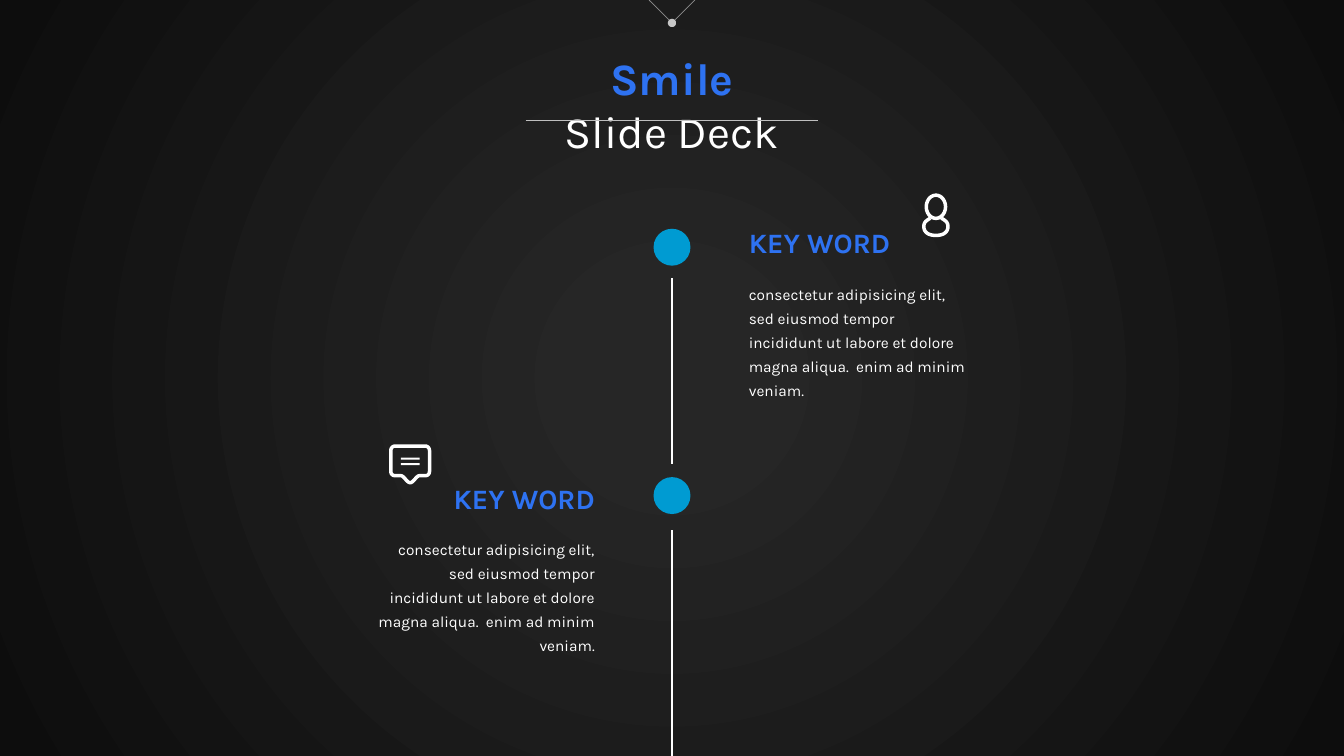
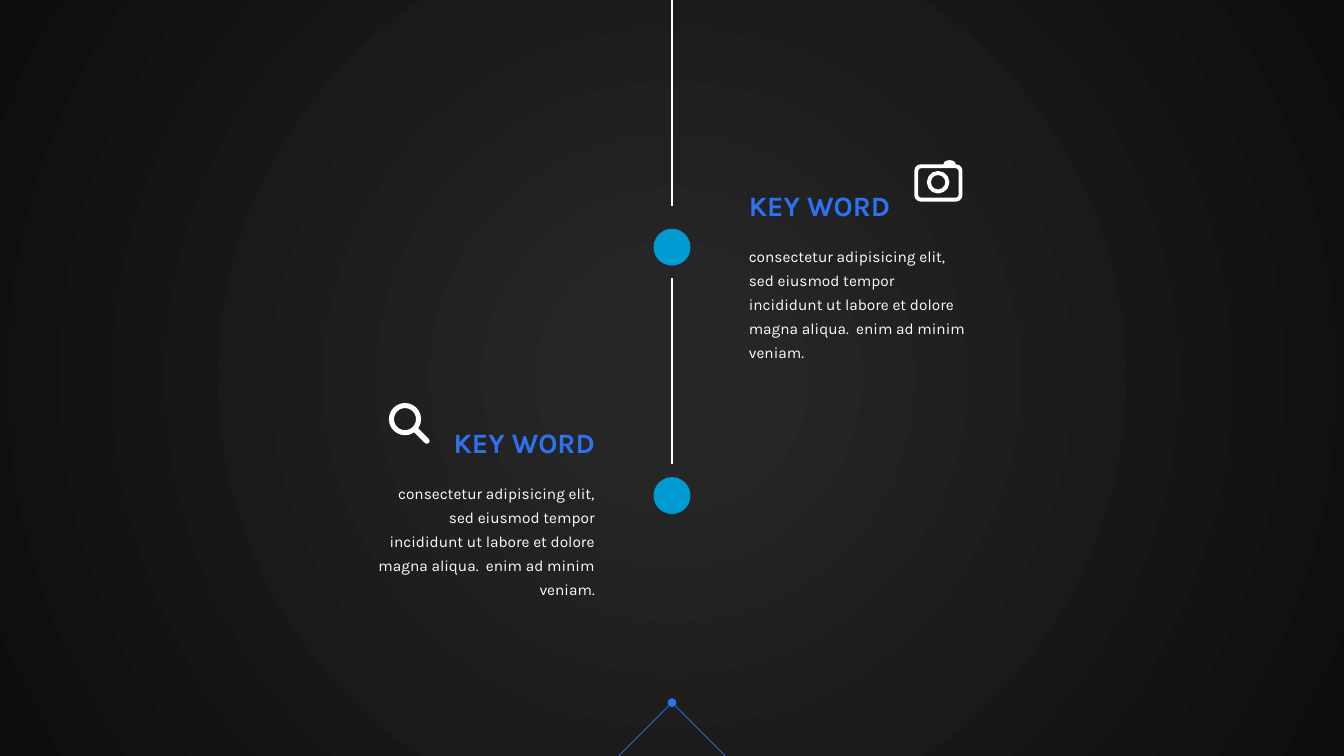
import pptx
import pptx.util
from lxml import etree
from pptx.dml.color import RGBColor
from pptx.enum.shapes import MSO_CONNECTOR, MSO_SHAPE
from pptx.enum.text import PP_ALIGN
from pptx.oxml.ns import qn

Pt = pptx.util.Pt

WHITE = RGBColor(0xFF, 0xFF, 0xFF)
BLUE = RGBColor(0x2E, 0x72, 0xF1)
CYAN = RGBColor(0x00, 0x9B, 0xD2)
GREY = RGBColor(0xBF, 0xBF, 0xBF)
DARK = RGBColor(0x26, 0x26, 0x26)
BLACK = RGBColor(0x0D, 0x0D, 0x0D)

FONT = "Karla"
WIDTH, HEIGHT = 960, 540
AXIS = WIDTH / 2
DOT = 26.4
DOT_CENTERS = (176.6, 354)
TEXT_WIDTH = 172
TEXT_LEFT = {PP_ALIGN.LEFT: 527.8, PP_ALIGN.RIGHT: 260}
BODY_DROP = 38.2
KEY_WORD = "KEY WORD"
BODY = ("consectetur adipisicing elit, sed eiusmod tempor incididunt ut labore "
        "et dolore magna aliqua.  enim ad minim veniam.")


def set_background(deck):
    """Give the master a radial gradient from the centre of the slide."""
    master = deck.slide_master
    fill = master.background.fill
    fill.gradient()
    for stop, color, position in zip(fill.gradient_stops, (DARK, BLACK), (0.11, 1)):
        stop.color.rgb = color
        stop.position = position
    gradient = master.element.find(".//" + qn("a:gradFill"))
    gradient.remove(gradient.find(qn("a:lin")))
    circle = etree.SubElement(gradient, qn("a:path"), path="circle")
    etree.SubElement(circle, qn("a:fillToRect"),
                     l="50000", t="50000", r="50000", b="50000")


def add_text(page, left, top, width, height, align=PP_ALIGN.LEFT, spacing=None):
    """Add an empty text box and return its paragraph."""
    box = page.shapes.add_textbox(Pt(left), Pt(top), Pt(width), Pt(height))
    box.text_frame.word_wrap = True
    para = box.text_frame.paragraphs[0]
    para.alignment = align
    if spacing:
        para.line_spacing = spacing
    return para


def add_span(para, text, size, color, bold=False):
    span = para.add_run()
    span.text = text
    span.font.name = FONT
    span.font.size = Pt(size)
    span.font.bold = bold
    span.font.color.rgb = color


def add_line(page, start, end, color, weight):
    """Draw a straight line and return its a:ln element."""
    line = page.shapes.add_connector(
        MSO_CONNECTOR.STRAIGHT, *(Pt(value) for value in (*start, *end)))
    line.line.color.rgb = color
    line.line.width = Pt(weight)
    properties = line.element.spPr
    etree.SubElement(properties, qn("a:effectLst"))
    return properties.find(qn("a:ln"))


def paint_solid(shape, color):
    shape.shadow.inherit = False
    shape.fill.solid()
    shape.fill.fore_color.rgb = color
    shape.line.fill.background()


def paint_outline(shape, weight):
    shape.shadow.inherit = False
    shape.fill.background()
    shape.line.color.rgb = WHITE
    shape.line.width = Pt(weight)


def add_preset(page, kind, left, top, width, height):
    return page.shapes.add_shape(kind, Pt(left), Pt(top), Pt(width), Pt(height))


def curve_points(start, control_1, control_2, end, steps=10):
    """Sample a cubic curve, leaving out its start."""
    points = []
    for step in range(1, steps + 1):
        t = step / steps
        weights = ((1 - t) ** 3, 3 * t * (1 - t) ** 2, 3 * t * t * (1 - t), t ** 3)
        corners = (start, control_1, control_2, end)
        points.append(tuple(sum(w * corner[axis] for w, corner in zip(weights, corners))
                            for axis in (0, 1)))
    return points


def add_mirrored_outline(page, center, half, weight, closed=False):
    """Stroke the left half given, followed by its mirror image about center."""
    mirror = [(2 * center - x, y) for x, y in reversed(half)]
    points = [(Pt(x), Pt(y)) for x, y in half + mirror]
    builder = page.shapes.build_freeform(*points[0], scale=1.0)
    builder.add_line_segments(points[1:], close=closed)
    paint_outline(builder.convert_to_shape(), weight)


def add_title(page):
    para = add_text(page, 346.4, 32.4, 267.2, 84, PP_ALIGN.CENTER)
    add_span(para, "Smile", 32, BLUE, bold=True)
    para.add_line_break()
    add_span(para, "Slide Deck", 32, WHITE)
    add_line(page, (375.4, 85.8), (584.6, 85.8), GREY, 0.5)


def add_chevron(page, tip, edge, color, alpha=None):
    """Draw two thin lines at 45 degrees from a dotted tip to a slide edge."""
    reach = abs(edge - tip)
    for side in (-1, 1):
        line = add_line(page, (AXIS, tip), (AXIS + side * reach, edge), color, 0.5)
        if alpha:
            etree.SubElement(line.find(".//" + qn("a:srgbClr")), qn("a:alpha"),
                             val=str(alpha * 1000))
        etree.SubElement(line, qn("a:headEnd"), type="oval")


def add_timeline(page, segments):
    for center in DOT_CENTERS:
        paint_solid(add_preset(page, MSO_SHAPE.OVAL, AXIS - DOT / 2,
                               center - DOT / 2, DOT, DOT), CYAN)
    for top, bottom in segments:
        add_line(page, (AXIS, top), (AXIS, bottom), WHITE, 1.5)


def add_entry(page, top, align):
    left = TEXT_LEFT[align]
    heading = add_text(page, left, top, TEXT_WIDTH, 31.5, align)
    add_span(heading, KEY_WORD, 20, BLUE, bold=True)
    body = add_text(page, left, top + BODY_DROP, TEXT_WIDTH, 76.5, align, 1.3)
    add_span(body, BODY, 11, WHITE)


def add_person_icon(page):
    paint_outline(add_preset(page, MSO_SHAPE.OVAL, 661.6, 139.4, 13.8, 16.6), 2.5)
    shoulder, side, base = (664.6, 155.8), (659.9, 161.8), (668.5, 168.2)
    half = [shoulder]
    half += curve_points(shoulder, (661.4, 157.8), (659.9, 158.8), side)
    half += curve_points(side, (659.9, 166.2), (663.6, 168.2), base)
    add_mirrored_outline(page, 668.5, half, 2.5)


def add_message_icon(page):
    left, top, bottom, center = 279.2, 318.6, 339.8, 293
    start, elbow = (center, top), (286.4, bottom)
    half = [start, (282.4, top)]
    half += curve_points(half[-1], (280.6, top), (left, 320), (left, 321.8))
    half.append((left, 336.8))
    half += curve_points(half[-1], (left, 338.5), (280.4, bottom), (282.2, bottom))
    half.append(elbow)
    half += curve_points(elbow, (288.6, bottom), (290.6, 344.8), (center, 344.8))
    add_mirrored_outline(page, center, half, 2.5, closed=True)
    for bar_top in (326.8, 330.8):
        paint_solid(add_preset(page, MSO_SHAPE.RECTANGLE, 286.4, bar_top, 13.4, 1.5), WHITE)


def add_camera_icon(page):
    case = add_preset(page, MSO_SHAPE.ROUNDED_RECTANGLE, 654.5, 118.8, 31.6, 23.8)
    case.adjustments[0] = 0.14
    paint_outline(case, 2.8)
    paint_outline(add_preset(page, MSO_SHAPE.OVAL, 663.5, 123.6, 13.2, 13.2), 2.8)
    paint_solid(add_preset(page, MSO_SHAPE.OVAL, 673.9, 114.4, 8.8, 5.6), WHITE)


def add_search_icon(page):
    paint_outline(add_preset(page, MSO_SHAPE.OVAL, 279.6, 289.7, 19.4, 19.4), 3.6)
    handle = add_line(page, (296.4, 306.5), (304.9, 315), WHITE, 4)
    handle.set("cap", "rnd")


def add_opening_page(deck, blank):
    page = deck.slides.add_slide(blank)
    add_title(page)
    add_chevron(page, 16.4, 0, WHITE, alpha=50)
    add_timeline(page, [(198.7, 331.7), (378.7, HEIGHT)])
    add_entry(page, 157.7, PP_ALIGN.LEFT)
    add_entry(page, 340.4, PP_ALIGN.RIGHT)
    add_person_icon(page)
    add_message_icon(page)


def add_closing_page(deck, blank):
    page = deck.slides.add_slide(blank)
    add_timeline(page, [(0, 147), (198.7, 331.7)])
    add_entry(page, 130.8, PP_ALIGN.LEFT)
    add_entry(page, 300.2, PP_ALIGN.RIGHT)
    add_camera_icon(page)
    add_search_icon(page)
    add_chevron(page, 501.9, HEIGHT, BLUE)


def main():
    deck = pptx.Presentation()
    deck.slide_width, deck.slide_height = Pt(WIDTH), Pt(HEIGHT)
    set_background(deck)
    blank = deck.slide_layouts[6]
    add_opening_page(deck, blank)
    add_closing_page(deck, blank)
    deck.save("out.pptx")


if __name__ == "__main__":
    main()
